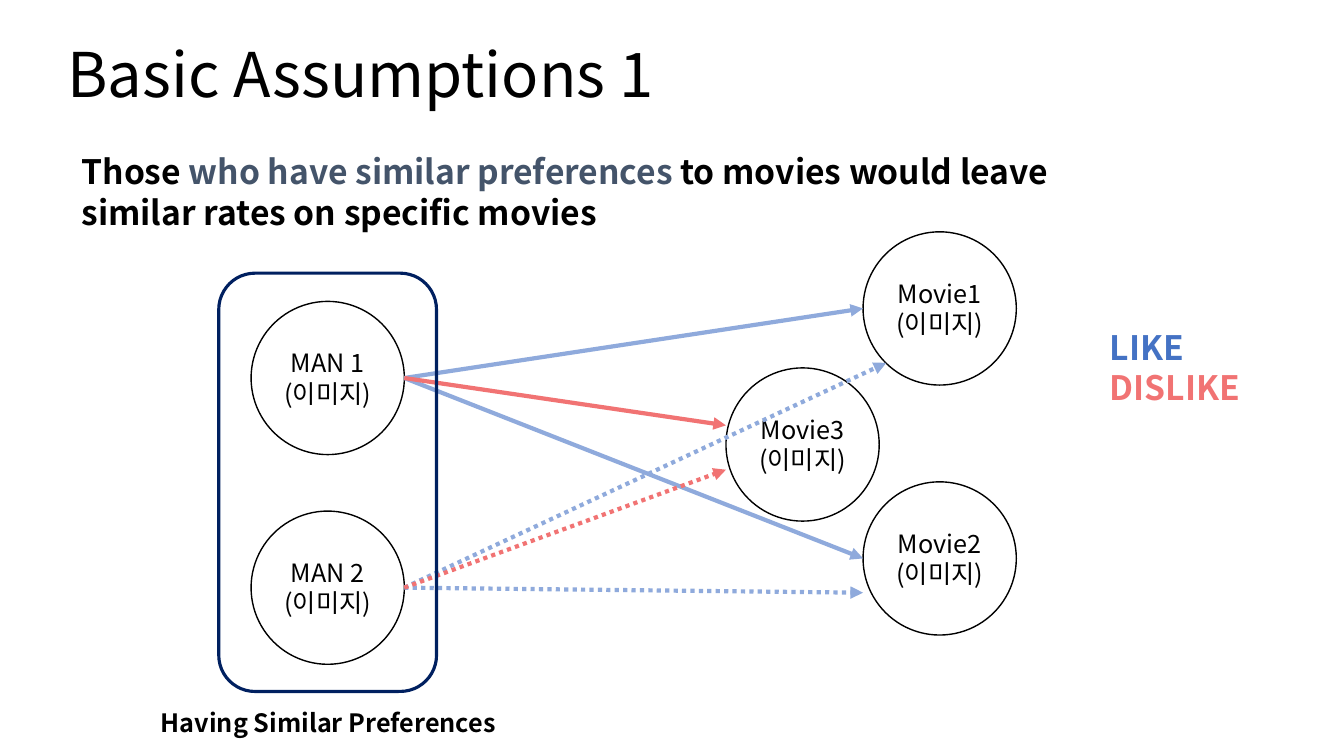
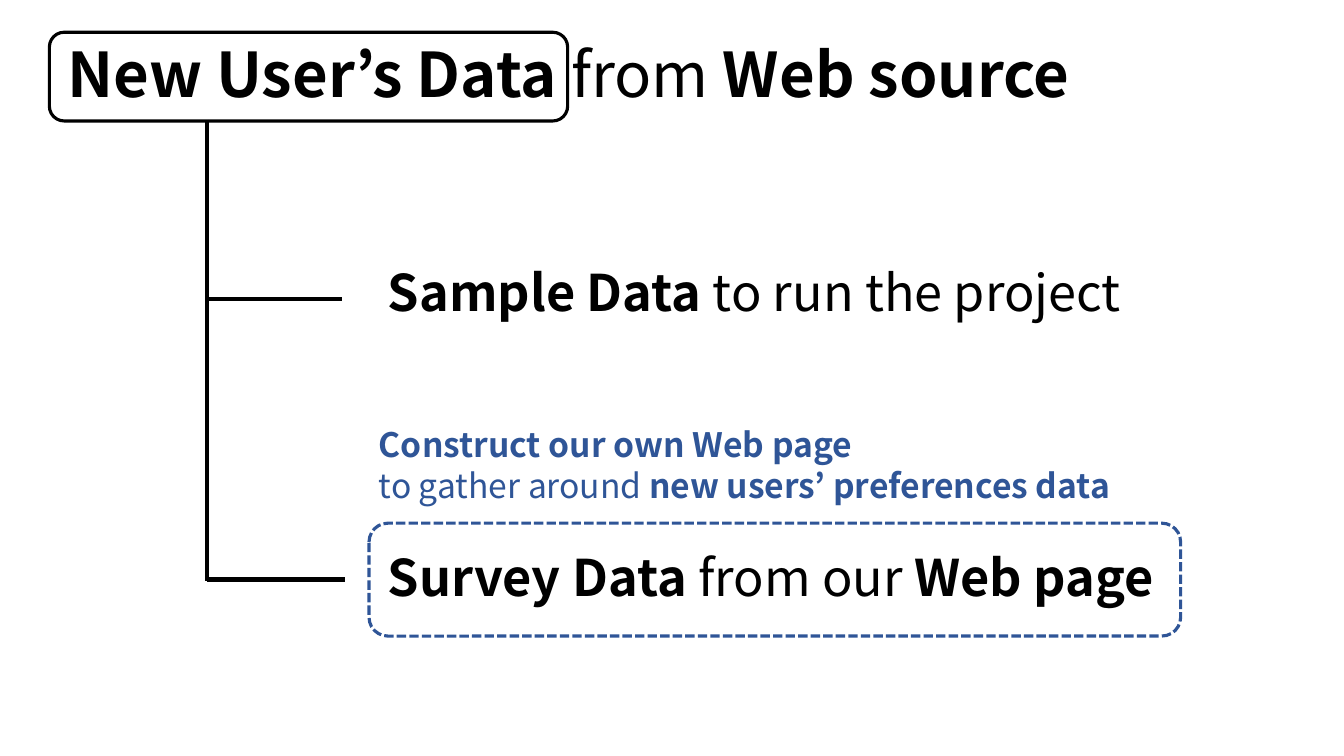
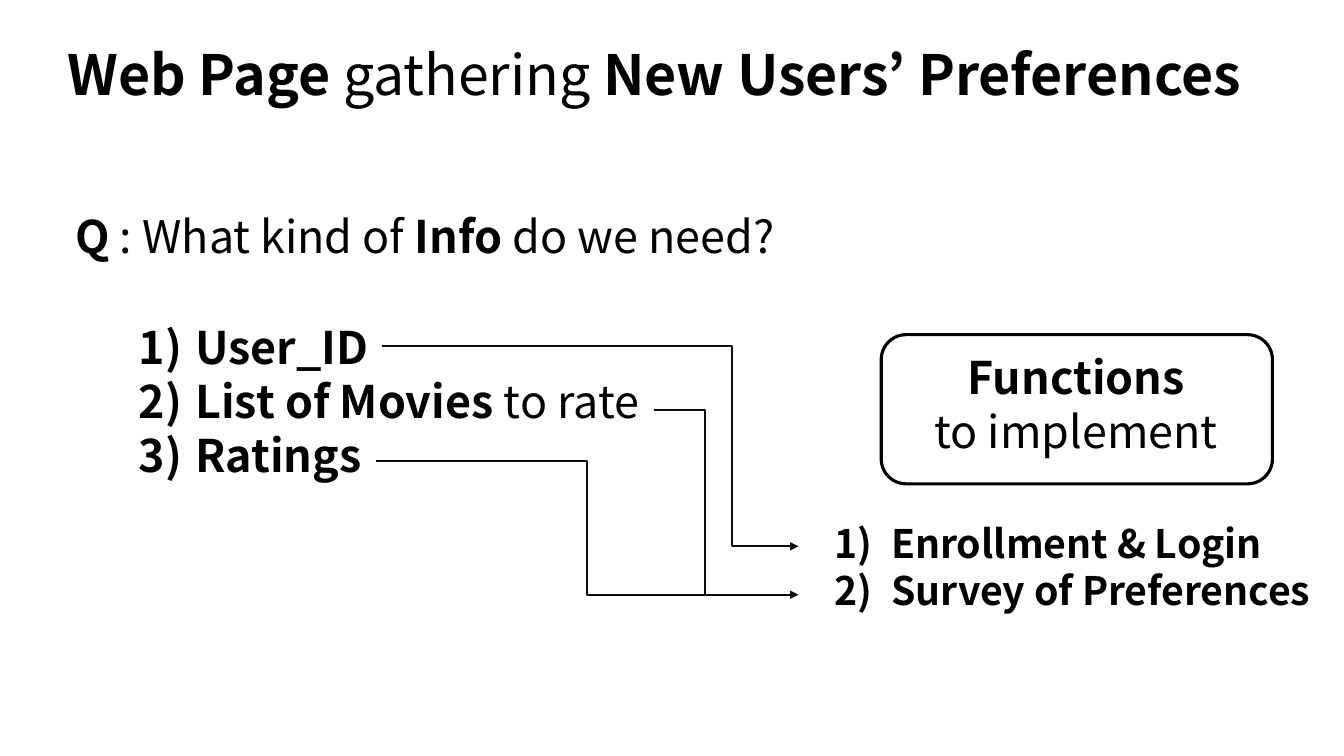
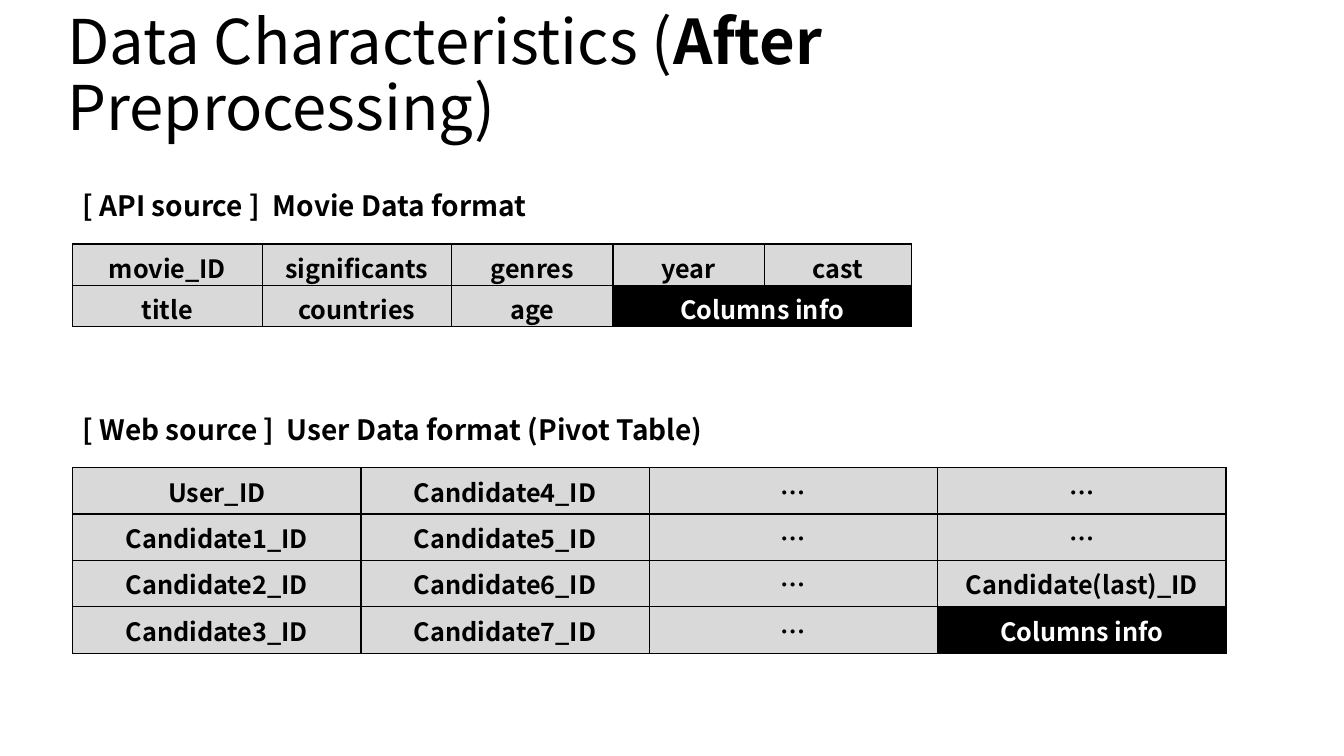
from lxml.etree import SubElement
from pptx import Presentation
from pptx.dml.color import RGBColor
from pptx.enum.dml import MSO_LINE
from pptx.enum.shapes import MSO_CONNECTOR, MSO_SHAPE
from pptx.enum.text import MSO_ANCHOR, PP_ALIGN
from pptx.oxml.ns import qn
from pptx.util import Inches, Pt

# Shared style
FONT = "Noto Sans CJK KR"
BLACK, WHITE, GREY = "000000", "FFFFFF", "D9D9D9"
SLATE, NAVY, BLUE = "44546A", "002060", "2F5597"
LIKE, LIKE_ARROW, DISLIKE = "4472C4", "8FAADC", "F17373"
BOLD, PLAIN = {"bold": True}, {"bold": False}
TITLE = {"size": 44, "spacing": 1.07, "anchor": MSO_ANCHOR.MIDDLE}
MIDDLE = {"anchor": MSO_ANCHOR.MIDDLE}
colour = RGBColor.from_string


def add_box(slide, at, paragraphs=(), preset=None, fill=None, line=None, width=1,
            dash=None, size=18, bold=False, color=BLACK, align=PP_ALIGN.LEFT,
            anchor=MSO_ANCHOR.TOP, spacing=1.2, indent=0, numbered=False):
    """Add a text box or preset shape; a paragraph is a list of (text, format) runs."""
    place = [Inches(value) for value in at]
    if preset is None:
        shape = slide.shapes.add_textbox(*place)
    else:
        shape = slide.shapes.add_shape(preset, *place)
        shape.shadow.inherit = False
        if fill:
            shape.fill.solid()
            shape.fill.fore_color.rgb = colour(fill)
        else:
            shape.fill.background()
        shape.line.color.rgb = colour(line)
        shape.line.width = Pt(width)
        if dash:
            shape.line.dash_style = dash
    frame = shape.text_frame
    frame.word_wrap = True
    frame.vertical_anchor = anchor
    for index, runs in enumerate(paragraphs):
        paragraph = frame.add_paragraph() if index else frame.paragraphs[0]
        paragraph.alignment = align
        paragraph.line_spacing = Pt(round(size * spacing, 1))
        properties = paragraph._p.get_or_add_pPr()
        if indent:
            properties.set("marL", str(Inches(indent)))
        if numbered:
            properties.set("indent", str(-Inches(indent)))
            SubElement(properties, qn("a:buFont"), typeface="+mj-lt")
            SubElement(properties, qn("a:buAutoNum"), type="arabicParenR")
        for text, style in runs:
            if text == "\n":
                paragraph.add_line_break()
                continue
            run = paragraph.add_run()
            run.text = text
            run.font.name = FONT
            run.font.size = Pt(size)
            run.font.bold = style.get("bold", bold)
            run.font.color.rgb = colour(style.get("color", color))
            SubElement(run._r.get_or_add_rPr(), qn("a:ea"), typeface=FONT)
    return shape


def add_line(slide, start, end, color=BLACK, width=3, dash=None, arrow=False, bend=None):
    """Add a straight line, or an elbow turning at the share `bend` of its width."""
    kind = MSO_CONNECTOR.STRAIGHT if bend is None else MSO_CONNECTOR.ELBOW
    points = [Inches(value) for value in (*start, *end)]
    connector = slide.shapes.add_connector(kind, *points)
    connector.line.color.rgb = colour(color)
    connector.line.width = Pt(width)
    if dash:
        connector.line.dash_style = dash
    if arrow:
        SubElement(connector.line._get_or_add_ln(), qn("a:tailEnd"), type="triangle")
    properties = connector._element.spPr
    SubElement(properties, qn("a:effectLst"))
    if bend is not None:
        guides = properties.find(qn("a:prstGeom")).get_or_add_avLst()
        SubElement(guides, qn("a:gd"), name="adj1", fmla=f"val {round(bend * 100000)}")


presentation = Presentation()
presentation.slide_width = Inches(13.33)
presentation.slide_height = Inches(7.5)
blank = presentation.slide_layouts[6]

# Slide 1: people, movies and their ratings
slide = presentation.slides.add_slide(blank)
add_box(slide, (0.57, 0.35, 9.17, 0.83), [[("Basic Assumptions 1", {})]], **TITLE)
add_box(slide, (0.57, 1.45, 12.26, 5.7),
        [[("Those ", {}), ("who have similar preferences", {"color": SLATE}),
          (" to movies would leave", {}), ("\n", {}),
          ("similar rates on specific movies", {})]],
        size=24, bold=True, indent=0.14)

circles = [("MAN 1", 2.49, 2.99), ("MAN 2", 2.49, 5.07), ("Movie1", 8.56, 2.3),
           ("Movie2", 8.56, 4.78), ("Movie3", 7.2, 3.65)]
for name, left, top in circles:
    add_box(slide, (left, top, 1.52, 1.52), [[(name, {})], [("(이미지)", {})]],
            preset=MSO_SHAPE.OVAL, fill=WHITE, line=BLACK,
            align=PP_ALIGN.CENTER, **MIDDLE)

ratings = [
    ((4.01, 3.75), None, [(8.56, 3.06), (8.56, 5.54)], (7.2, 4.22)),
    ((4.01, 5.83), MSO_LINE.ROUND_DOT, [(8.79, 3.6), (8.56, 5.88)], (7.2, 4.66)),
]
for person, dash, liked, disliked in ratings:
    for movie in liked:
        add_line(slide, person, movie, LIKE_ARROW, dash=dash, arrow=True)
    add_line(slide, person, disliked, DISLIKE, dash=dash, arrow=True)

add_box(slide, (10.91, 3.19, 1.73, 0.91),
        [[("LIKE", {"color": LIKE})], [("DISLIKE", {"color": DISLIKE})]],
        size=24, bold=True)
add_box(slide, (2.17, 2.71, 2.16, 4.15), preset=MSO_SHAPE.ROUNDED_RECTANGLE,
        line=NAVY, width=2.25)
add_box(slide, (1.49, 6.97, 3.53, 0.4), [[("Having Similar Preferences", BOLD)]],
        align=PP_ALIGN.CENTER)

# Slide 2: tree of data sources
slide = presentation.slides.add_slide(blank)
add_box(slide, (0.57, 0.35, 11.23, 0.83),
        [[("New User’s Data ", BOLD), ("from ", PLAIN), ("Web source", BOLD)]], **TITLE)
for start, end in [((2.05, 1.19), (2.05, 5.76)), ((2.05, 5.75), (3.42, 5.75)),
                   ((2.05, 2.97), (3.39, 2.97))]:
    add_line(slide, start, end)
branches = [
    (2.51, [("Sample Data", BOLD), (" to run the project", PLAIN)]),
    (5.34, [("Survey Data", BOLD), (" from our ", PLAIN), ("Web page", BOLD)]),
]
for top, runs in branches:
    add_box(slide, (3.75, top, 9.17, 0.83), [runs], size=36, spacing=1.07, **MIDDLE)
for at, color, dash in [((0.49, 0.32, 5.14, 0.88), BLACK, None),
                        ((3.66, 5.19, 8.05, 1.12), BLUE, MSO_LINE.SQUARE_DOT)]:
    frame_shape = add_box(slide, at, preset=MSO_SHAPE.ROUNDED_RECTANGLE,
                          line=color, width=2.25, dash=dash)
# The enum has no short system dash, so it is set on the last frame
frame_shape.line._get_or_add_ln().find(qn("a:prstDash")).set("val", "sysDash")
add_box(slide, (3.66, 4.16, 8.32, 0.91),
        [[("Construct our own Web page", BOLD)],
         [("to gather around ", PLAIN), ("new users’ preferences data", BOLD)]],
        size=24, color=BLUE)

# Slide 3: needed information and functions
slide = presentation.slides.add_slide(blank)
add_box(slide, (0.57, 0.35, 12.09, 0.83),
        [[("Web Page ", BOLD), ("gathering ", PLAIN), ("New Users’ Preferences", BOLD)]],
        **{**TITLE, "size": 39.6})
add_box(slide, (0.65, 1.92, 9.17, 0.83),
        [[("Q", BOLD), (" : What kind of ", PLAIN), ("Info", BOLD),
          (" do we need?", PLAIN)]], size=32, **MIDDLE)
add_box(slide, (1.28, 2.93, 5.55, 2.09),
        [[("User_ID", BOLD)], [("List of Movies ", BOLD), ("to rate", PLAIN)],
         [("Ratings", BOLD)]], size=32, indent=0.56, numbered=True, **MIDDLE)
add_box(slide, (9.01, 3.42, 3.33, 1.18),
        [[("Functions", BOLD)], [("to implement", PLAIN)]],
        size=32, align=PP_ALIGN.CENTER)
add_box(slide, (8.18, 4.57, 5.55, 2.09),
        [[("Enrollment & Login", BOLD)], [("Survey of Preferences", BOLD)]],
        size=28, indent=0.56, numbered=True, **MIDDLE)
add_box(slide, (8.74, 3.32, 3.88, 1.48), preset=MSO_SHAPE.ROUNDED_RECTANGLE,
        line=BLACK, width=2.25)
for start, end, bend, arrow in [((3.79, 3.43), (7.92, 5.42), 0.84, True),
                                ((3.73, 4.57), (7.92, 5.9), 0.5, True),
                                ((6.49, 4.07), (6.99, 5.9), 1, False)]:
    add_line(slide, start, end, "0D0D0D", width=1.5, arrow=arrow, bend=bend)

# Slide 4: column tables
slide = presentation.slides.add_slide(blank)
add_box(slide, (0.57, 0.35, 11.98, 0.83),
        [[("Data Characteristics (", PLAIN), ("After", BOLD), (" Preprocessing)", PLAIN)]],
        **TITLE)
for top, width, heading in [
        (1.82, 5.04, "[ API source ]  Movie Data format"),
        (4.04, 6.78, "[ Web source ]  User Data format (Pivot Table)")]:
    add_box(slide, (0.72, top, width, 0.44), [[(heading, BOLD)]], size=20)

KEY = "Columns info"
movie_rows = [["movie_ID", "significants", "genres", "year", "cast"],
              ["title", "countries", "age", KEY, ""]]
user_rows = [["User_ID", "Candidate4_ID", "…", "…"],
             ["Candidate1_ID", "Candidate5_ID", "…", "…"],
             ["Candidate2_ID", "Candidate6_ID", "…", "Candidate(last)_ID"],
             ["Candidate3_ID", "Candidate7_ID", "…", KEY]]
for top, row_height, widths, rows in [
        (4.64, 0.46, [2.86] * 4, user_rows),
        (2.42, 0.41, [1.88, 1.88, 1.6, 1.5, 1.46], movie_rows)]:
    table = slide.shapes.add_table(
        len(rows), len(widths), Inches(0.72), Inches(top),
        Inches(sum(widths)), Inches(row_height * len(rows))).table
    table.first_row = table.horz_banding = False
    for column, width in zip(table.columns, widths):
        column.width = Inches(width)
    for row_index, row in enumerate(rows):
        table.rows[row_index].height = Inches(row_height)
        for column_index, text in enumerate(row):
            cell = table.cell(row_index, column_index)
            properties = cell._tc.get_or_add_tcPr()
            for side in ("lnL", "lnR", "lnT", "lnB"):
                border = SubElement(properties, qn(f"a:{side}"), w=str(Pt(1)))
                border_fill = SubElement(border, qn("a:solidFill"))
                SubElement(border_fill, qn("a:srgbClr"), val=BLACK)
            cell.fill.solid()
            cell.fill.fore_color.rgb = colour(BLACK if text == KEY else GREY)
            if not text:
                continue
            paragraph = cell.text_frame.paragraphs[0]
            paragraph.alignment = PP_ALIGN.CENTER
            run = paragraph.add_run()
            run.text = text
            run.font.name = FONT
            run.font.size = Pt(18)
            run.font.bold = True
            run.font.color.rgb = colour(WHITE if text == KEY else BLACK)
    if rows is movie_rows:
        table.cell(1, 3).merge(table.cell(1, 4))

presentation.save("out.pptx")
